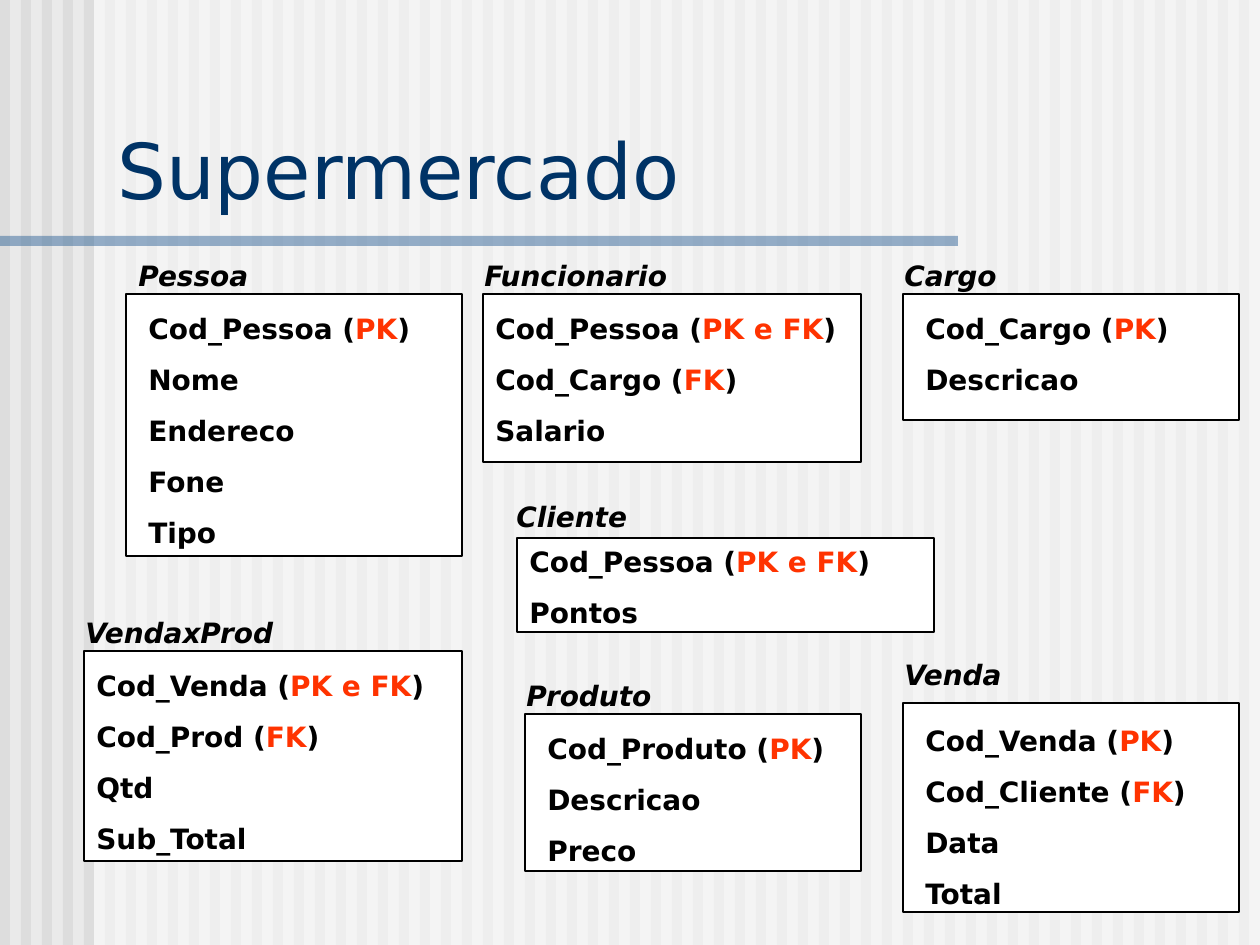
from lxml import etree
from pptx import Presentation
from pptx import util as u
from pptx.dml.color import RGBColor
from pptx.enum import shapes, text
from pptx.oxml.ns import qn

PX = 914400 / 126
WIDTH, HEIGHT = 1260, 945
FONT = "DejaVu Sans"

BLACK = RGBColor(0x00, 0x00, 0x00)
WHITE = RGBColor(0xFF, 0xFF, 0xFF)
BACKGROUND = RGBColor(0xEA, 0xEA, 0xEA)
STRIPE = RGBColor(0xDD, 0xDD, 0xDD)
RULE = RGBColor(0x33, 0x66, 0x99)
NAVY = RGBColor(0x00, 0x33, 0x66)
KEY = RGBColor(0xFF, 0x33, 0x00)

TITLE = "Supermercado"
STRIPE_COUNT, STRIPE_STEP, STRIPE_WIDTH = 60, 21, 10
ROW_STEP, LABEL_HEIGHT = 51, 47

# Entities: name, label (left, top, width), frame (left, top, width, height),
# field list (left, top, width), fields as (name, key)
ENTITIES = [
    ("Pessoa", (126, 252, 504), (126, 294, 336, 262), (136, 305, 315),
     [("Cod_Pessoa", "PK"), ("Nome", ""), ("Endereco", ""), ("Fone", ""), ("Tipo", "")]),
    ("Funcionario", (472, 252, 504), (483, 294, 378, 168), (483, 305, 441),
     [("Cod_Pessoa", "PK e FK"), ("Cod_Cargo", "FK"), ("Salario", "")]),
    ("VendaxProd", (73, 609, 504), (84, 651, 378, 210), (84, 662, 368),
     [("Cod_Venda", "PK e FK"), ("Cod_Prod", "FK"), ("Qtd", ""), ("Sub_Total", "")]),
    ("Cargo", (892, 252, 346), (903, 294, 336, 126), (913, 305, 315),
     [("Cod_Cargo", "PK"), ("Descricao", "")]),
    ("Produto", (514, 672, 220), (525, 714, 336, 157), (535, 725, 315),
     [("Cod_Produto", "PK"), ("Descricao", ""), ("Preco", "")]),
    ("Venda", (892, 651, 252), (903, 703, 336, 209), (913, 717, 315),
     [("Cod_Venda", "PK"), ("Cod_Cliente", "FK"), ("Data", ""), ("Total", "")]),
    ("Cliente", (504, 493, 352), (517, 538, 417, 94), (517, 538, 392),
     [("Cod_Pessoa", "PK e FK"), ("Pontos", "")]),
]


def emu(*lengths):
    return [u.Emu(round(length * PX)) for length in lengths]


def add_rect(page, place, fill, line=None, alpha=None):
    shape = page.shapes.add_shape(shapes.MSO_SHAPE.RECTANGLE, *emu(*place))
    shape.shadow.inherit = False
    shape.fill.solid()
    shape.fill.fore_color.rgb = fill
    if alpha:
        color = shape.fill._xPr.find(qn("a:solidFill"))[0]
        etree.SubElement(color, qn("a:alpha")).set("val", str(alpha * 1000))
    if line is None:
        shape.line.fill.background()
    else:
        shape.line.color.rgb = line
        shape.line.width = u.Pt(0.75)


def add_text(page, place, lines, space=10, anchor=text.MSO_ANCHOR.TOP, **style):
    """Each line is a list of (words, colour) pairs."""
    box = page.shapes.add_textbox(*emu(*place))
    frame = box.text_frame
    frame.word_wrap = True
    frame.auto_size = text.MSO_AUTO_SIZE.SHAPE_TO_FIT_TEXT
    frame.vertical_anchor = anchor
    for index, line in enumerate(lines):
        para = frame.paragraphs[0] if index == 0 else frame.add_paragraph()
        para.space_before = u.Pt(space)
        for words, color in line:
            span = para.add_run()
            span.text = words
            span.font.color.rgb = color
            for name, value in {"name": FONT, **style}.items():
                setattr(span.font, name, value)


def field_line(name, key):
    if not key:
        return [(name, BLACK)]
    return [(f"{name} (", BLACK), (key, KEY), (")", BLACK)]


def main():
    deck = Presentation()
    deck.slide_width, deck.slide_height = emu(WIDTH, HEIGHT)
    page = deck.slides.add_slide(deck.slide_layouts[6])
    page.background.fill.solid()
    page.background.fill.fore_color.rgb = BACKGROUND

    # Striped backdrop, pale veil and rule under the title
    for index in range(STRIPE_COUNT):
        add_rect(page, (index * STRIPE_STEP, 0, STRIPE_WIDTH, HEIGHT), STRIPE)
    add_rect(page, (94, 0, WIDTH - 94, HEIGHT), WHITE, alpha=50)
    add_rect(page, (0, 236, 958, 10), RULE, alpha=50)

    # Title
    add_text(page, (105, 116, 1125, 105), [[(TITLE, NAVY)]], space=0,
             anchor=text.MSO_ANCHOR.BOTTOM, size=u.Pt(44))

    # Entities: frame, fields, label
    body = {"size": u.Pt(16), "bold": True}
    for name, label, frame, area, fields in ENTITIES:
        add_rect(page, frame, WHITE, line=BLACK)
        add_text(page, (*area, ROW_STEP * len(fields) - 5),
                 [field_line(*field) for field in fields], **body)
        add_text(page, (*label, LABEL_HEIGHT), [[(name, BLACK)]], italic=True, **body)

    deck.save("out.pptx")


if __name__ == "__main__":
    main()
